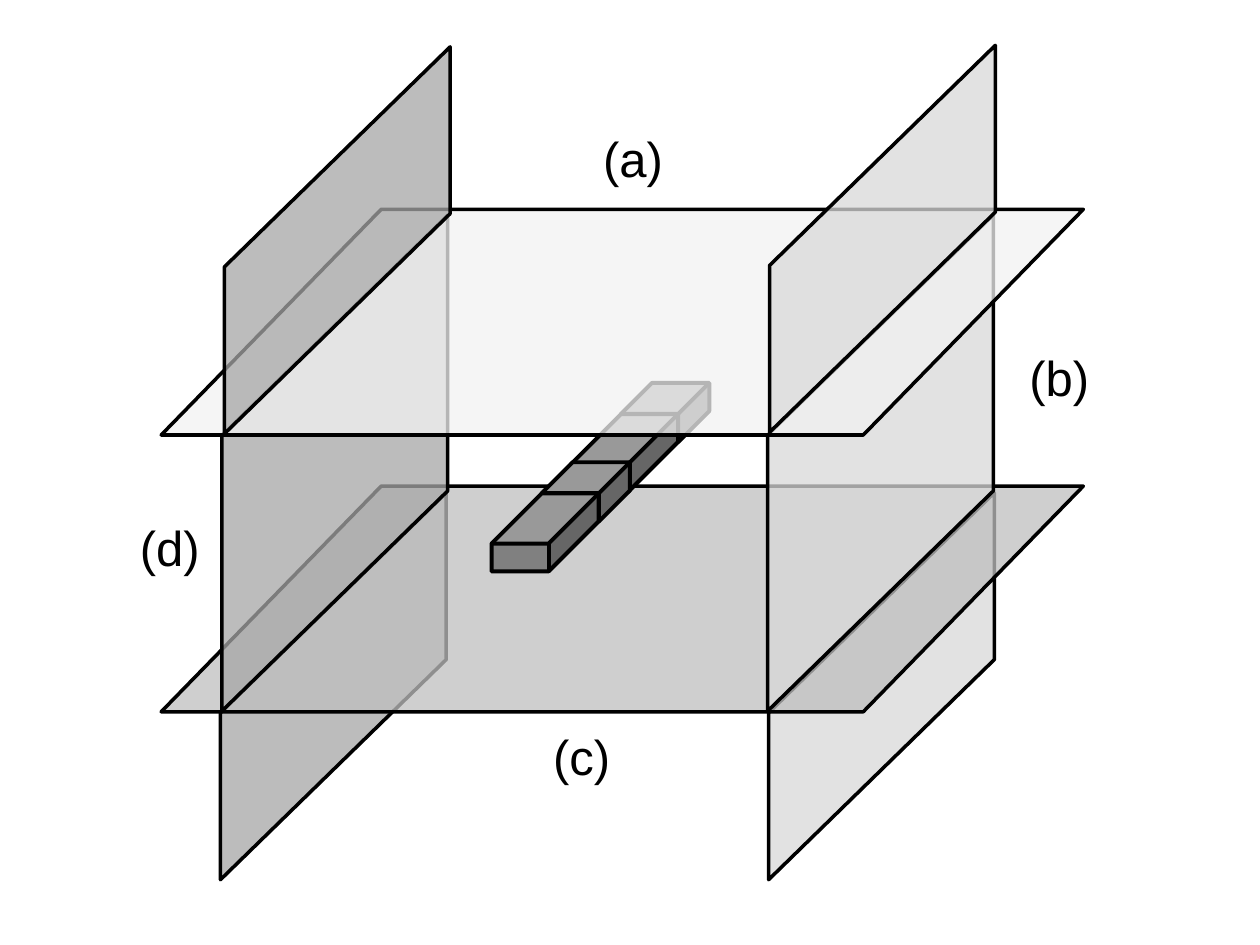
from dataclasses import dataclass

import lxml.etree
import pptx
import pptx.dml.color
import pptx.enum.shapes
import pptx.enum.text
import pptx.oxml.ns
import pptx.util

Cm = pptx.util.Cm
Pt = pptx.util.Pt
RGBColor = pptx.dml.color.RGBColor
MSO_SHAPE = pptx.enum.shapes.MSO_SHAPE

BLACK = RGBColor(0x00, 0x00, 0x00)
CEILING = RGBColor(0xF2, 0xF2, 0xF2)
RIGHT_WALL = RGBColor(0xD9, 0xD9, 0xD9)
FLOOR = RGBColor(0xBF, 0xBF, 0xBF)
LEFT_WALL = RGBColor(0xA6, 0xA6, 0xA6)
BAR = RGBColor(0x80, 0x80, 0x80)

PLANE_DEPTH = 4.55
PLANE_SLANT = 0.975
PLANE_OPACITY = 75
LEVEL_LENGTH = 18.59
END_LENGTH = 7.8
MIDDLE_LENGTH = 10.0
BAR_STEP = 1.6


@dataclass(frozen=True)
class Plane:
    left: float
    top: float
    length: float
    color: RGBColor
    upright: bool = True


@dataclass(frozen=True)
class Block:
    left: float
    top: float
    width: float
    height: float
    depth: float


@dataclass(frozen=True)
class Label:
    text: str
    left: float
    top: float
    width: float = 1.73


PLANES_BEHIND_BAR = [
    Plane(13.87, 11.56, END_LENGTH, RIGHT_WALL),
    Plane(2.82, 11.56, END_LENGTH, LEFT_WALL),
    Plane(3.25, 9.8, LEVEL_LENGTH, FLOOR, upright=False),
    Plane(12.75, 7.06, MIDDLE_LENGTH, RIGHT_WALL),
    Plane(1.75, 7.06, MIDDLE_LENGTH, LEFT_WALL),
]
PLANES_BEFORE_BAR = [
    Plane(3.25, 4.22, LEVEL_LENGTH, CEILING, upright=False),
    Plane(2.9, 2.57, END_LENGTH, LEFT_WALL),
    Plane(13.89, 2.54, END_LENGTH, RIGHT_WALL),
]
BLOCK_PAIR = [
    Block(12.52, 7.72, 1.78, 1.19, 0.523),
    Block(11.51, 8.35, 2.16, 1.57, 0.643),
]
LABELS = [
    Label("(a)", 11.91, 2.46),
    Label("(b)", 20.5, 6.88),
    Label("(d)", 2.57, 10.31),
    Label("(c)", 10.9, 14.53, 1.68),
]


def paint(shape, color: RGBColor, outline: float, adjustment: float) -> None:
    shape.shadow.inherit = False
    shape.adjustments[0] = adjustment
    shape.fill.solid()
    shape.fill.fore_color.rgb = color
    shape.line.color.rgb = BLACK
    shape.line.width = Pt(outline)


def set_opacity(shape, percent: int) -> None:
    qn = pptx.oxml.ns.qn
    fill_color = shape._element.spPr.find(qn("a:solidFill")).find(qn("a:srgbClr"))
    alpha = lxml.etree.SubElement(fill_color, qn("a:alpha"))
    alpha.set("val", str(percent * 1000))


def draw_plane(slide, plane: Plane) -> None:
    sheet = slide.shapes.add_shape(
        MSO_SHAPE.PARALLELOGRAM,
        Cm(plane.left), Cm(plane.top), Cm(plane.length), Cm(PLANE_DEPTH),
    )
    paint(sheet, plane.color, 2, PLANE_SLANT)
    set_opacity(sheet, PLANE_OPACITY)
    if plane.upright:
        sheet.rotation = 270
        sheet._element.spPr.xfrm.set("flipH", "1")


def draw_bar(slide) -> None:
    bar = slide.shapes.add_group_shape()
    for pair in range(2):
        shift = pair * BAR_STEP
        for block in BLOCK_PAIR:
            cube = bar.shapes.add_shape(
                MSO_SHAPE.CUBE,
                Cm(block.left - shift), Cm(block.top + shift),
                Cm(block.width), Cm(block.height),
            )
            paint(cube, BAR, 2.25, block.depth)


def add_text(slide, text: str, *, left: float, top: float, width: float,
             height: float = 1.45, size: float = 28, font: str = "Arial",
             color: RGBColor = BLACK) -> None:
    caption = slide.shapes.add_textbox(Cm(left), Cm(top), Cm(width), Cm(height))
    frame = caption.text_frame
    frame.word_wrap = False
    frame.auto_size = pptx.enum.text.MSO_AUTO_SIZE.SHAPE_TO_FIT_TEXT
    run = frame.paragraphs[0].add_run()
    run.text = text
    run.font.name = font
    run.font.size = Pt(size)
    run.font.color.rgb = color


def main() -> None:
    presentation = pptx.Presentation()
    presentation.slide_width = Cm(25.4)
    presentation.slide_height = Cm(19.05)
    slide = presentation.slides.add_slide(presentation.slide_layouts[6])
    for plane in PLANES_BEHIND_BAR:
        draw_plane(slide, plane)
    draw_bar(slide)
    for plane in PLANES_BEFORE_BAR:
        draw_plane(slide, plane)
    for label in LABELS:
        add_text(slide, label.text, left=label.left, top=label.top, width=label.width)
    presentation.save("out.pptx")


if __name__ == "__main__":
    main()
